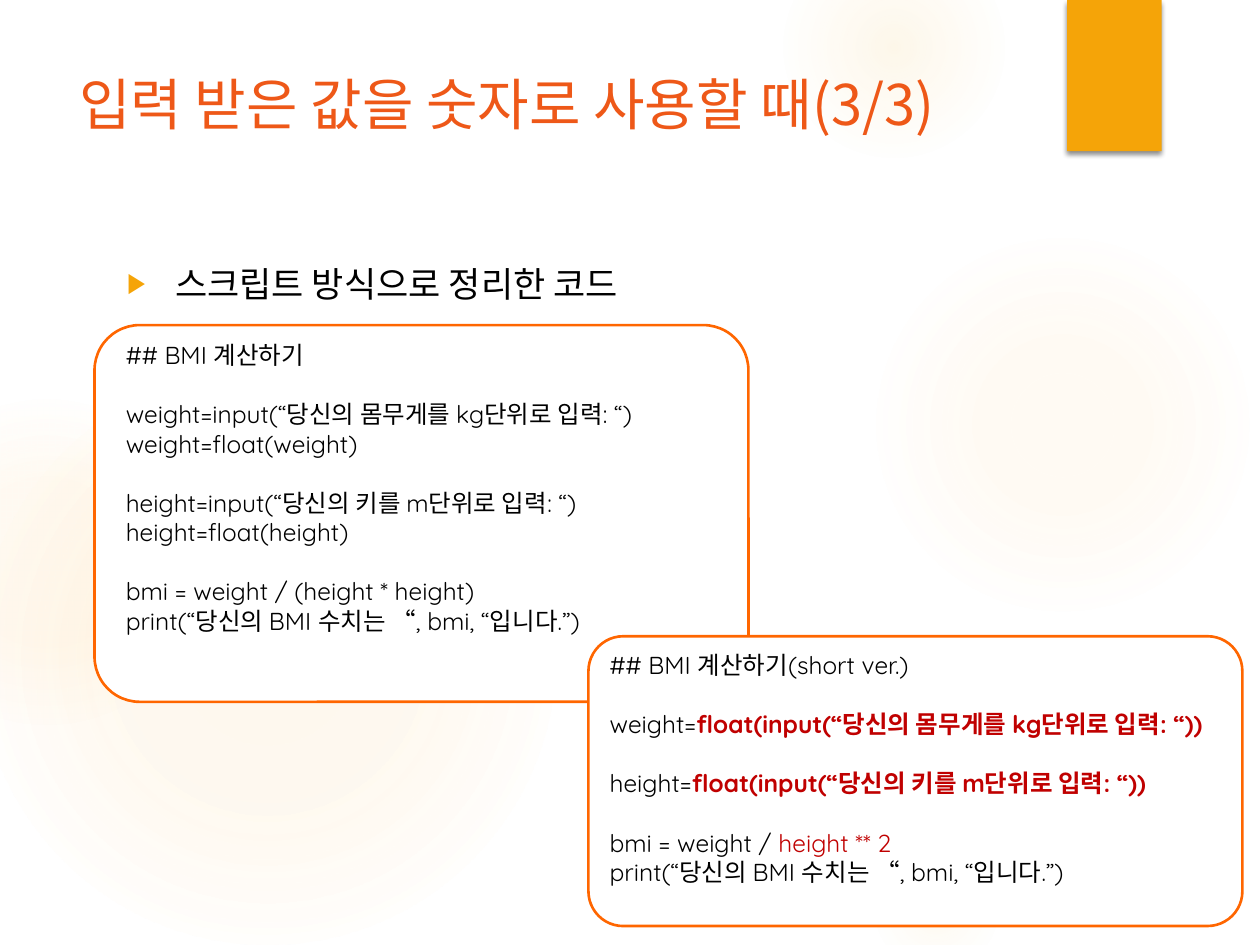
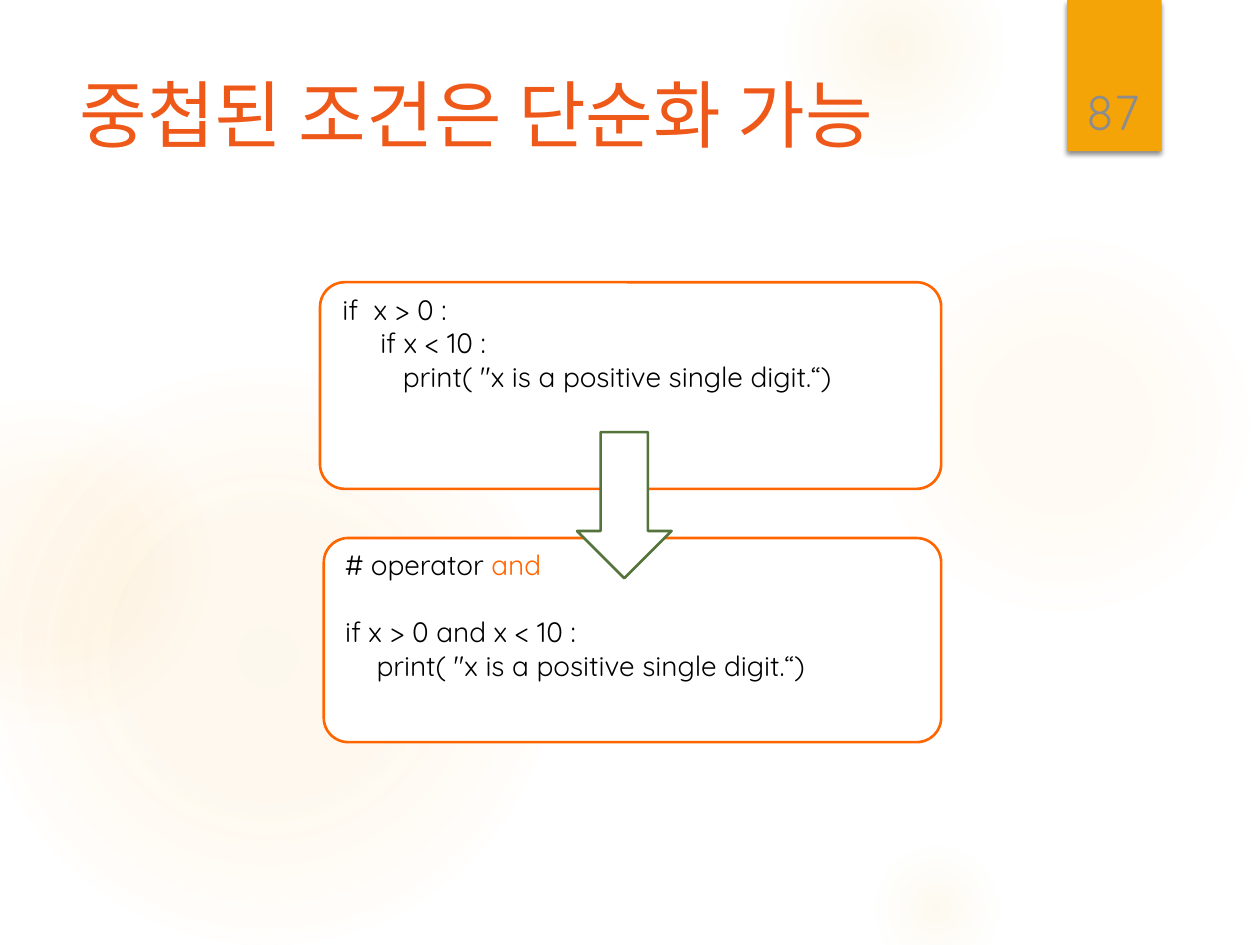
from dataclasses import dataclass

from lxml import etree
from pptx import Presentation
from pptx.dml.color import RGBColor
from pptx.enum.shapes import MSO_SHAPE as Preset
from pptx.enum.text import MSO_ANCHOR as Anchor
from pptx.enum.text import MSO_AUTO_SIZE as AutoSize
from pptx.enum.text import PP_ALIGN as Align
from pptx.oxml import parse_xml
from pptx.oxml.ns import nsdecls, qn
from pptx.util import Inches, Pt

COLORS = {
    "white": "FFFFFF",
    "black": "000000",
    "title": "EE5818",
    "band": "F5A408",
    "glow": "FAC96A",
    "frame": "FF6600",
    "red": "C00000",
    "arrow": "54743B",
    "number": "8C8C8C",
}
KOREAN = "Noto Sans CJK KR"
LATIN = "Quicksand"
LINE_HEIGHT = 1.2

GLOWS = [
    (6.89, 1.83, 3.08, [(0, 7), (36, 6), (69, 0)]),
    (6.22, -0.5, 1.75, [(0, 14), (36, 7), (73, 0)]),
    (6.89, 6.67, 1.08, [(0, 10), (31, 5), (66, 0)]),
    (-0.17, 2.92, 4.58, [(0, 11), (36, 10), (75, 0)]),
    (-0.92, 3.17, 2.58, [(0, 8), (36, 8), (72, 0)]),
]


@dataclass
class Line:
    text: str
    accent: str = ""
    color: str = "red"
    bold: bool = False
    indent: float = 0


def rgb(name):
    return RGBColor.from_string(COLORS[name])


def inches(*lengths):
    return [Inches(length) for length in lengths]


class SlideBuilder:
    def __init__(self):
        self.deck = Presentation()
        self.deck.slide_width, self.deck.slide_height = inches(10, 7.5)
        self.page = None

    def new_page(self, layout):
        self.page = self.deck.slides.add_slide(self.deck.slide_layouts[layout])

    def shape(self, preset, at, fill="white", line=None):
        shape = self.page.shapes.add_shape(preset, *inches(*at))
        shape.shadow.inherit = False
        shape.fill.solid()
        shape.fill.fore_color.rgb = rgb(fill)
        if line:
            shape.line.color.rgb = rgb(line)
            shape.line.width = Pt(1.5)
        else:
            shape.line.fill.background()
        return shape

    def glow(self, left, top, size, stops):
        shape = self.shape(Preset.OVAL, (left, top, size, size), "glow")
        stop_list = "".join(
            f'<a:gs pos="{position * 1000}"><a:srgbClr val="{COLORS["glow"]}">'
            f'<a:alpha val="{alpha * 1000}"/></a:srgbClr></a:gs>'
            for position, alpha in stops
        )
        gradient = parse_xml(
            f'<a:gradFill {nsdecls("a")} rotWithShape="1"><a:gsLst>{stop_list}</a:gsLst>'
            '<a:path path="circle"><a:fillToRect l="50000" t="50000" r="50000" b="50000"/>'
            "</a:path></a:gradFill>"
        )
        properties = shape.element.spPr
        properties.replace(properties.find(qn("a:solidFill")), gradient)
        return shape

    def band(self):
        shape = self.shape(Preset.RECTANGLE, (8.47, 0, 0.75, 1.2), "band")
        effects = shape.element.spPr.find(qn("a:effectLst"))
        effects.append(parse_xml(
            f'<a:outerShdw {nsdecls("a")} blurRad="{Pt(3)}" dist="{Pt(2)}" dir="5400000" '
            f'rotWithShape="0"><a:srgbClr val="{COLORS["black"]}"><a:alpha val="45000"/>'
            "</a:srgbClr></a:outerShdw>"
        ))
        return shape

    def backdrop(self):
        tree = self.deck.slide_master.shapes.element
        shapes = [self.glow(*glow) for glow in GLOWS] + [self.band()]
        for index, shape in enumerate(shapes):
            shape.element.nvSpPr.cNvPr.set("id", str(100 + index))
            tree.insert(2 + index, shape.element)

    def font(self, paragraph, size, color, name=KOREAN):
        paragraph.font.size = Pt(size)
        paragraph.font.name = name
        paragraph.font.color.rgb = rgb(color)
        defaults = paragraph._p.get_or_add_pPr().get_or_add_defRPr()
        etree.SubElement(defaults, qn("a:ea")).set("typeface", KOREAN)

    def placeholder(self, box, at, text, size, color):
        box.left, box.top, box.width, box.height = inches(*at)
        frame = box.text_frame
        frame.text = text
        frame.auto_size = AutoSize.NONE
        frame.vertical_anchor = Anchor.TOP
        paragraph = frame.paragraphs[0]
        paragraph.alignment = Align.LEFT
        self.font(paragraph, size, color)
        return paragraph

    def title(self, text, size):
        self.placeholder(self.page.shapes.title, (0.53, 0.5, 7.72, 1.53), text, size, "title")

    def bullet(self, text):
        body = self.page.placeholders[1]
        paragraph = self.placeholder(body, (0.91, 2.03, 7.34, 4.59), text, 20, "black")
        paragraph.space_before = Pt(10)
        properties = paragraph._p.get_or_add_pPr()
        properties.set("marL", str(Inches(0.38)))
        properties.set("indent", str(-Inches(0.38)))
        marks = (
            f'<a:buClr {nsdecls("a")}><a:srgbClr val="{COLORS["band"]}"/></a:buClr>',
            f'<a:buSzPct {nsdecls("a")} val="80000"/>',
            f'<a:buChar {nsdecls("a")} char="▶"/>',
        )
        defaults = properties.find(qn("a:defRPr"))
        for mark in marks:
            defaults.addprevious(parse_xml(mark))

    def text_box(self, at):
        box = self.page.shapes.add_textbox(*inches(*at))
        box.text_frame.word_wrap = True
        return box.text_frame

    def code(self, frame_at, text_at, size, stanzas):
        outline = self.shape(Preset.ROUNDED_RECTANGLE, frame_at, line="frame")
        outline.adjustments[0] = 0.12
        frame = self.text_box(text_at)
        frame.auto_size = AutoSize.SHAPE_TO_FIT_TEXT
        paragraph = None
        for stanza in stanzas:
            for index, line in enumerate(stanza):
                starts_stanza = paragraph is not None and index == 0
                paragraph = frame.add_paragraph() if paragraph else frame.paragraphs[0]
                if starts_stanza:
                    paragraph.space_before = Pt(round(size * LINE_HEIGHT))
                if line.indent:
                    paragraph._p.get_or_add_pPr().set("marL", str(Inches(line.indent)))
                self.font(paragraph, size, "black", LATIN)
                paragraph.add_run().text = line.text
                if line.accent:
                    span = paragraph.add_run()
                    span.text = line.accent
                    span.font.color.rgb = rgb(line.color)
                    span.font.bold = line.bold

    def page_number(self, number):
        frame = self.text_box((8.49, 0.32, 0.69, 0.84))
        frame.vertical_anchor = Anchor.BOTTOM
        paragraph = frame.paragraphs[0]
        paragraph.text = number
        paragraph.alignment = Align.CENTER
        self.font(paragraph, 28, "number", LATIN)


def add_bmi_page(builder):
    builder.title("입력 받은 값을 숫자로 사용할 때(3/3)", 32)
    builder.bullet("스크립트 방식으로 정리한 코드")
    ask_weight = "input(“당신의 몸무게를 kg단위로 입력: “)"
    ask_height = "input(“당신의 키를 m단위로 입력: “)"
    show_bmi = Line("print(“당신의 BMI 수치는 “, bmi, “입니다.”)")
    builder.code((0.75, 2.58, 5.19, 2.99), (0.9, 2.65, 5.04, 2.69), 14, [
        [Line("## BMI 계산하기")],
        [Line(f"weight={ask_weight}"), Line("weight=float(weight)")],
        [Line(f"height={ask_height}"), Line("height=float(height)")],
        [Line("bmi = weight / (height * height)"), show_bmi],
    ])
    builder.code((4.67, 5.05, 5.19, 2.3), (4.74, 5.11, 5.26, 2.22), 14, [
        [Line("## BMI 계산하기(short ver.)")],
        [Line("weight=", f"float({ask_weight})", bold=True)],
        [Line("height=", f"float({ask_height})", bold=True)],
        [Line("bmi = weight / ", "height ** 2"), show_bmi],
    ])


def add_condition_page(builder):
    builder.title("중첩된 조건은 단순화 가능", 42)
    show_digit = 'print( "x is a positive single digit.“)'
    builder.code((2.54, 2.24, 4.93, 1.64), (2.62, 2.27, 4.76, 0.91), 16, [
        [Line("if  x > 0 :"), Line("if x < 10 :", indent=0.3), Line(show_digit, indent=0.48)],
    ])
    builder.code((2.57, 4.27, 4.9, 1.62), (2.64, 4.3, 4.59, 1.18), 16, [
        [Line("# operator ", "and", color="frame")],
        [Line("if x > 0 and x < 10 :"), Line(show_digit, indent=0.25)],
    ])
    builder.shape(Preset.DOWN_ARROW, (4.58, 3.43, 0.75, 1.16), line="arrow")
    builder.page_number("87")


def main():
    builder = SlideBuilder()
    builder.new_page(1)
    builder.backdrop()
    add_bmi_page(builder)
    builder.new_page(5)
    add_condition_page(builder)
    builder.deck.save("out.pptx")


if __name__ == "__main__":
    main()
